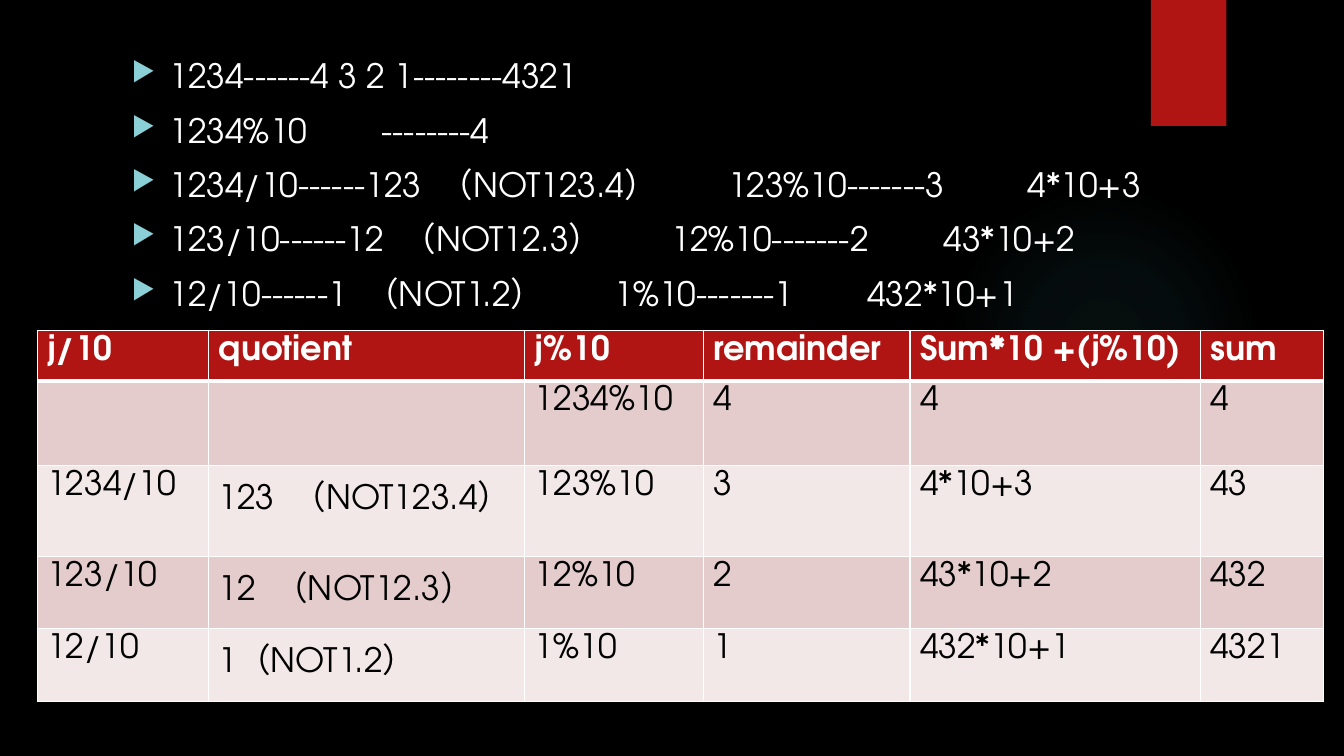
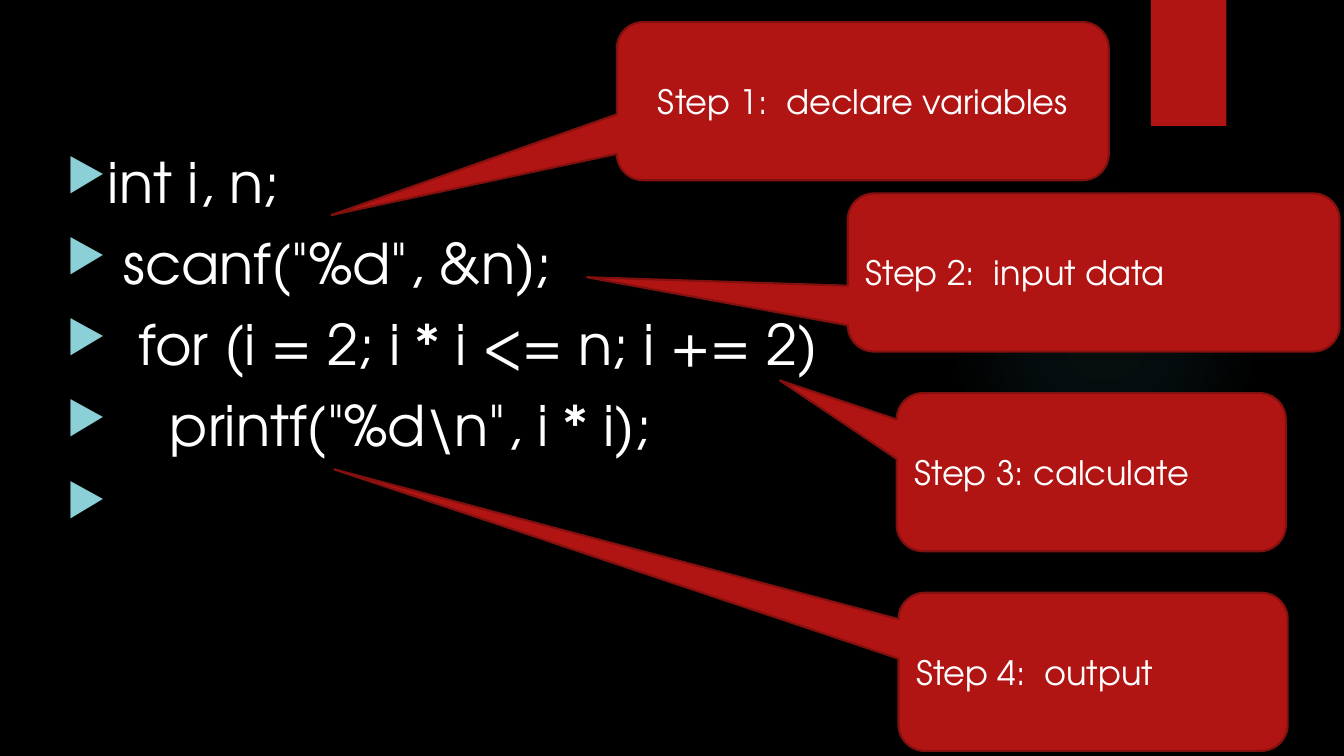
from pptx import Presentation
from pptx.dml.color import RGBColor
from pptx.enum.shapes import MSO_SHAPE
from pptx.enum.text import MSO_ANCHOR, PP_ALIGN
from pptx.oxml import parse_xml
from pptx.oxml.ns import nsdecls
from pptx.util import Pt

BLACK = RGBColor(0x00, 0x00, 0x00)
WHITE = RGBColor(0xFF, 0xFF, 0xFF)
RED = RGBColor(0xB0, 0x15, 0x13)
DARK_RED = RGBColor(0x82, 0x10, 0x0E)
AQUA = RGBColor(0x8A, 0xD0, 0xD6)
TEAL = RGBColor(0x50, 0xB9, 0xC1)
ROW_FILLS = (RGBColor(0xF2, 0xE8, 0xE7), RGBColor(0xE4, 0xCC, 0xCC))
FONT = "TeX Gyre Adventor"
BULLET_FONT = "OpenSymbol"
BODY_SIZE = 24
CODE_SIZE = 40
INDENT = 27

DIGIT_LINES = [
    ("1234------4 3 2 1--------4321", ()),
    ("1234%10\t--------4", (178.5,)),
    ("1234/10------123  （NOT123.4）\t123%10-------3\t4*10+3", (426, 640)),
    ("123/10------12  （NOT12.3）\t12%10-------2\t43*10+2", (385.5, 580)),
    ("12/10------1  （NOT1.2）\t1%10-------1\t432*10+1", (345, 525.5)),
]
DIGIT_TABLE = [
    ("j/10", "quotient", "j%10", "remainder", "Sum*10 +(j%10)", "sum"),
    ("", "", "1234%10", "4", "4", "4"),
    ("1234/10", "123  （NOT123.4）", "123%10", "3", "4*10+3", "43"),
    ("123/10", "12  （NOT12.3）", "12%10", "2", "43*10+2", "432"),
    ("12/10", "1（NOT1.2）", "1%10", "1", "432*10+1", "4321"),
]
COLUMN_WIDTHS = (122.4, 226, 127.5, 147.6, 207.4, 87.8)
ROW_HEIGHTS = (29.5, 60.5, 64, 51.5, 52)

CODE_LINES = [
    ("int i, n;", ()),
    (' scanf("%d", &n);', ()),
    ("  for (i = 2; i * i <= n; i += 2)", ()),
    ('    printf("%d\\n", i * i);', ()),
    (" ", ()),
]
STEPS = [
    ("Step 1:  declare variables", (440.6, 15.8, 351.4, 113), (-1.08, 0.72), PP_ALIGN.CENTER),
    ("Step 2:  input data", (605.5, 138.2, 351.4, 113), (-1.03, 0.03), PP_ALIGN.LEFT),
    ("Step 3: calculate", (640.5, 280.8, 278, 113), (-0.8, -0.58), PP_ALIGN.LEFT),
    ("Step 4:  output", (641.8, 423.4, 278, 113), (-1.95, -1.28), PP_ALIGN.LEFT),
]


def set_font(paragraph, size, color, bold=False):
    """Give a paragraph the deck's font."""
    font = paragraph.font
    font.name, font.size, font.bold = FONT, Pt(size), bold
    font.color.rgb = color


def add_preset(slide, preset, box, fill):
    """Add a flat filled shape without an outline."""
    shape = slide.shapes.add_shape(preset, *map(Pt, box))
    shape.shadow.inherit = False
    shape.fill.solid()
    shape.fill.fore_color.rgb = fill
    shape.line.fill.background()
    return shape


def add_glow(slide, box):
    """Add the faint round glow that fades towards its edge."""
    glow = add_preset(slide, MSO_SHAPE.OVAL, box, TEAL)
    stops = "".join(
        f'<a:gs pos="{position}000"><a:srgbClr val="{TEAL}"><a:alpha val="{alpha}000"/>'
        "</a:srgbClr></a:gs>"
        for position, alpha in ((0, 7), (36, 6), (69, 0), (100, 0))
    )
    gradient = parse_xml(
        f'<a:gradFill {nsdecls("a")} rotWithShape="1"><a:gsLst>{stops}</a:gsLst><a:path path="circle">'
        '<a:fillToRect l="50000" t="50000" r="50000" b="50000"/></a:path></a:gradFill>'
    )
    properties = glow.element.spPr
    properties.replace(properties.find("{*}solidFill"), gradient)


def add_base_slide(presentation):
    """Add a black slide with the shared glow and red tab."""
    slide = presentation.slides.add_slide(presentation.slide_layouts[6])
    slide.background.fill.solid()
    slide.background.fill.fore_color.rgb = BLACK
    add_glow(slide, (677.5, 131.8, 221.8, 221.8))
    add_preset(slide, MSO_SHAPE.RECTANGLE, (822, 0, 54, 90), RED)
    return slide


def add_bullet(paragraph, tab_stops):
    """Give a paragraph a hanging triangle bullet and tab stops."""
    properties = paragraph._p.get_or_add_pPr()
    properties.set("marL", str(Pt(INDENT)))
    properties.set("indent", str(-Pt(INDENT)))
    tabs = "".join(f'<a:tab pos="{Pt(stop)}" algn="l"/>' for stop in tab_stops)
    parts = [
        f'<a:buClr {nsdecls("a")}><a:srgbClr val="{AQUA}"/></a:buClr>',
        f'<a:buSzPct {nsdecls("a")} val="80000"/>',
        f'<a:buFont {nsdecls("a")} typeface="{BULLET_FONT}"/>',
        f'<a:buChar {nsdecls("a")} char="▶"/>',
    ]
    if tabs:
        parts.append(f'<a:tabLst {nsdecls("a")}>{tabs}</a:tabLst>')
    for part in parts:
        properties.append(parse_xml(part))


def add_bullet_list(slide, box, lines, size):
    """Fill a text box with bulleted lines."""
    frame = slide.shapes.add_textbox(*map(Pt, box)).text_frame
    frame.word_wrap = True
    for index, (text, tab_stops) in enumerate(lines):
        paragraph = frame.add_paragraph() if index else frame.paragraphs[0]
        paragraph.text = text
        add_bullet(paragraph, tab_stops)
        if index:
            paragraph.space_before = Pt(10)
        set_font(paragraph, size, WHITE)


def set_borders(cell, bottom_width):
    """Draw white borders round a cell."""
    properties = cell._tc.get_or_add_tcPr()
    for side, width in (("L", 1), ("R", 1), ("T", 1), ("B", bottom_width)):
        properties.append(parse_xml(
            f'<a:ln{side} {nsdecls("a")} w="{Pt(width)}"><a:solidFill>'
            f'<a:srgbClr val="{WHITE}"/></a:solidFill></a:ln{side}>'
        ))


def add_digit_table(slide, left, top):
    """Add the table that traces the digits, with a red header."""
    table = slide.shapes.add_table(
        len(DIGIT_TABLE), len(COLUMN_WIDTHS), Pt(left), Pt(top),
        Pt(sum(COLUMN_WIDTHS)), Pt(sum(ROW_HEIGHTS)),
    ).table
    for column, width in zip(table.columns, COLUMN_WIDTHS):
        column.width = Pt(width)
    for row_index, (row, height) in enumerate(zip(table.rows, ROW_HEIGHTS)):
        row.height = Pt(height)
        header = row_index == 0
        for cell, text in zip(row.cells, DIGIT_TABLE[row_index]):
            set_borders(cell, 3 if header else 1)
            cell.fill.solid()
            cell.fill.fore_color.rgb = RED if header else ROW_FILLS[row_index % 2]
            cell.text = text
            set_font(cell.text_frame.paragraphs[0], BODY_SIZE, WHITE if header else BLACK, header)


def add_step(slide, text, box, tip, alignment):
    """Add a callout whose tip points at a line of code."""
    callout = add_preset(slide, MSO_SHAPE.ROUNDED_RECTANGULAR_CALLOUT, box, RED)
    callout.line.color.rgb = DARK_RED
    callout.line.width = Pt(1.5)
    callout.adjustments[0], callout.adjustments[1] = tip
    frame = callout.text_frame
    frame.word_wrap = True
    frame.vertical_anchor = MSO_ANCHOR.MIDDLE
    paragraph = frame.paragraphs[0]
    paragraph.text = text
    paragraph.alignment = alignment
    set_font(paragraph, BODY_SIZE, WHITE)


def add_digits_slide(presentation):
    """Add the slide on reversing a number."""
    slide = add_base_slide(presentation)
    add_bullet_list(slide, (87, 36, 823.7, 456.5), DIGIT_LINES, BODY_SIZE)
    add_digit_table(slide, 26.5, 236)


def add_code_slide(presentation):
    """Add the slide that labels the steps of a program."""
    slide = add_base_slide(presentation)
    add_bullet_list(slide, (40.3, 101.5, 770.4, 373.7), CODE_LINES, CODE_SIZE)
    for step in STEPS:
        add_step(slide, *step)


def main():
    """Build and save the deck."""
    presentation = Presentation()
    presentation.slide_width, presentation.slide_height = Pt(960), Pt(540)
    add_digits_slide(presentation)
    add_code_slide(presentation)
    presentation.save("out.pptx")


if __name__ == "__main__":
    main()
